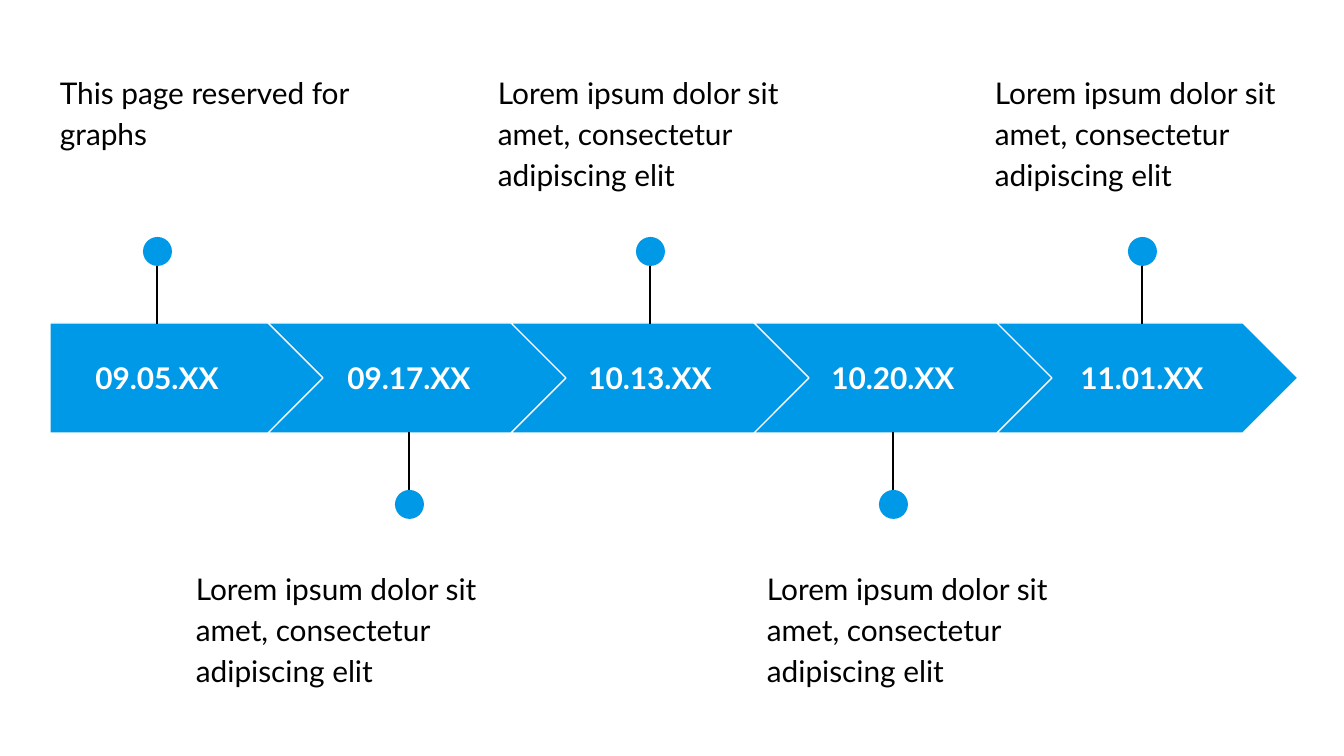
from lxml import etree
from pptx import Presentation
from pptx.dml.color import RGBColor
from pptx.enum.shapes import MSO_CONNECTOR, MSO_SHAPE
from pptx.enum.text import MSO_ANCHOR, PP_ALIGN
from pptx.oxml.ns import qn
from pptx.util import Pt

EMU_PER_PX = 914400 / 134.4
SLIDE_W, SLIDE_H = 1344, 756

BLUE = RGBColor(0x00, 0x99, 0xE8)
WHITE = RGBColor(0xFF, 0xFF, 0xFF)
BLACK = RGBColor(0x00, 0x00, 0x00)

PENTAGON, CHEVRON, OVAL = MSO_SHAPE.PENTAGON, MSO_SHAPE.CHEVRON, MSO_SHAPE.OVAL
STRAIGHT = MSO_CONNECTOR.STRAIGHT
LEFT, CENTER = PP_ALIGN.LEFT, PP_ALIGN.CENTER
TOP, MIDDLE = MSO_ANCHOR.TOP, MSO_ANCHOR.MIDDLE

BAND_TOP, BAND_H = 323, 110
FIRST_LEFT, FIRST_W = 50, 275
CHEVRON_LEFT, CHEVRON_W, CHEVRON_PITCH = 268, 301, 243
DATE_TOP, DATE_H = 344, 68
FIRST_DATE_W, DATE_W = 214, 194
DOT = 29
NOTE_W, NOTE_H = 329, 133

# dot top, stem start, stem end, note top
ABOVE = (237, 242, 324, 56)
BELOW = (490, 513, 432, 552)

LOREM = "Lorem ipsum dolor sit amet, consectetur adipiscing elit"

# date, centre of date and pin, left of note, note
MILESTONES = [
    ("09.05.XX", 157, 47, "This page reserved for graphs"),
    ("09.17.XX", 409, 183, LOREM),
    ("10.13.XX", 650, 485, LOREM),
    ("10.20.XX", 893, 754, LOREM),
    ("11.01.XX", 1142, 982, LOREM),
]


def px(length):
    return round(length * EMU_PER_PX)


class TimelineSlide:
    font_name = "Lato"
    font_size = Pt(16)
    line_width = Pt(0.75)
    inset = px(13)

    def __init__(self, presentation):
        self.slide = presentation.slides.add_slide(presentation.slide_layouts[6])
        self.shapes = self.slide.shapes

    def shape(self, kind, left, top, width, height, outline=None):
        shape = self.shapes.add_shape(kind, px(left), px(top), px(width), px(height))
        shape.shadow.inherit = False
        shape.fill.solid()
        shape.fill.fore_color.rgb = BLUE
        if outline is None:
            shape.line.fill.background()
        else:
            shape.line.color.rgb = outline
            shape.line.width = self.line_width
        return shape

    def arrow(self, kind, left, width):
        arrow = self.shape(kind, left, BAND_TOP, width, BAND_H, WHITE)
        arrow.adjustments[0] = 0.5

    def stem(self, x, start, end):
        stem = self.shapes.add_connector(STRAIGHT, px(x), px(start), px(x), px(end))
        stem.line.color.rgb = BLACK
        stem.line.width = self.line_width
        etree.SubElement(stem._element.spPr, qn("a:effectLst"))

    def text(self, words, left, top, width, height, color, align, anchor, bold=False):
        box = self.shapes.add_textbox(px(left), px(top), px(width), px(height))
        frame = box.text_frame
        frame.word_wrap = True
        frame.vertical_anchor = anchor
        frame.margin_left = frame.margin_right = self.inset
        frame.margin_top = frame.margin_bottom = self.inset
        paragraph = frame.paragraphs[0]
        paragraph.text = words
        paragraph.alignment = align
        font = paragraph.font
        font.name, font.size, font.bold = self.font_name, self.font_size, bold
        font.color.rgb = color
        return paragraph

    def date(self, words, center, width):
        self.text(words, center - width // 2, DATE_TOP, width, DATE_H,
                  WHITE, CENTER, MIDDLE, bold=True)

    def pin(self, center, dot_top, stem_start, stem_end):
        self.stem(center, stem_start, stem_end)
        self.shape(OVAL, center - DOT // 2, dot_top, DOT, DOT)

    def note(self, words, left, top):
        paragraph = self.text(words, left, top, NOTE_W, NOTE_H, BLACK, LEFT, TOP)
        paragraph.line_spacing = 1.15
        paragraph.space_after = Pt(16)


def main():
    presentation = Presentation()
    presentation.slide_width, presentation.slide_height = px(SLIDE_W), px(SLIDE_H)
    timeline = TimelineSlide(presentation)

    for index, (date, center, note_left, note) in enumerate(MILESTONES):
        if index == 0:
            timeline.arrow(PENTAGON, FIRST_LEFT, FIRST_W)
            timeline.date(date, center, FIRST_DATE_W)
        else:
            left = CHEVRON_LEFT + (index - 1) * CHEVRON_PITCH
            timeline.arrow(CHEVRON, left, CHEVRON_W)
            timeline.date(date, center, DATE_W)
        dot_top, stem_start, stem_end, note_top = BELOW if index % 2 else ABOVE
        timeline.pin(center, dot_top, stem_start, stem_end)
        timeline.note(note, note_left, note_top)

    presentation.save("out.pptx")


if __name__ == "__main__":
    main()
